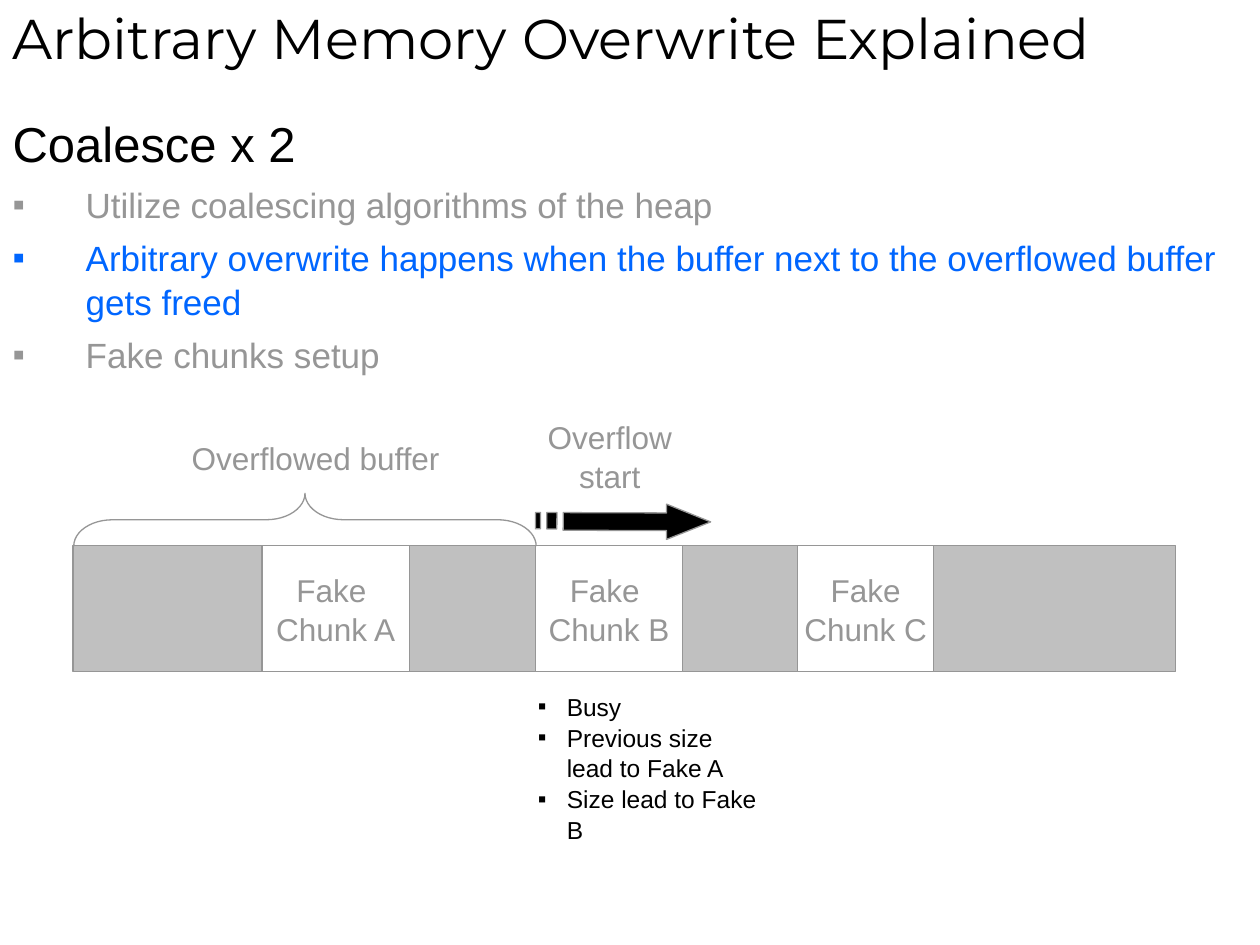
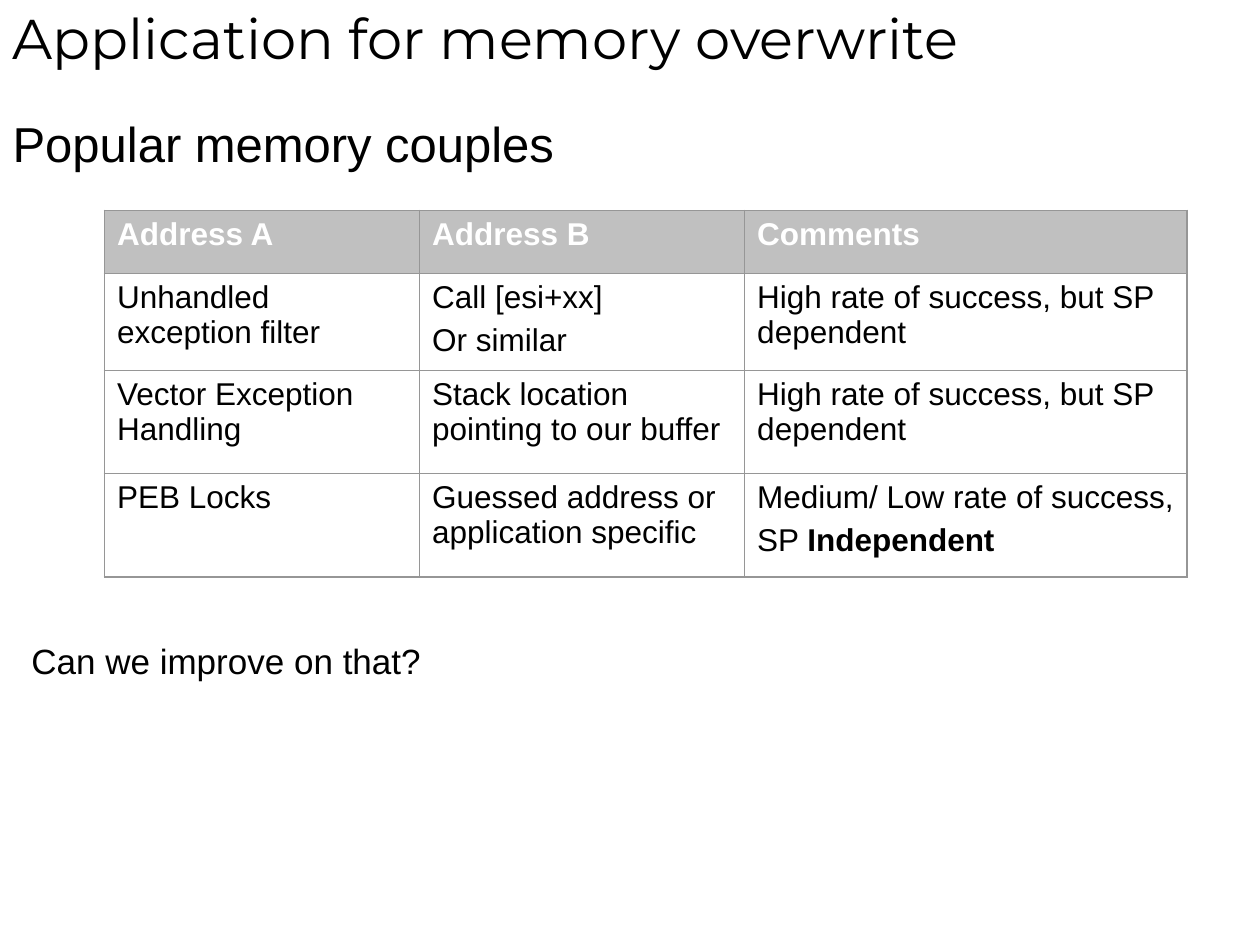
from dataclasses import dataclass

from lxml import etree
from pptx import Presentation
from pptx.dml.color import RGBColor
from pptx.enum import shapes, text
from pptx.oxml.ns import qn
from pptx.util import Inches, Pt

# Shared look
BLACK, WHITE, GREY, SILVER, BLUE = "000000", "FFFFFF", "969696", "C0C0C0", "0066FF"
BODY_FONT, TITLE_FONT = "Arial", "Montserrat"
LINE_SPACING = 1.05
CENTER, LEFT = text.PP_ALIGN.CENTER, text.PP_ALIGN.LEFT
MIDDLE, TOP = text.MSO_ANCHOR.MIDDLE, text.MSO_ANCHOR.TOP


@dataclass
class Para:
    words: str
    size: float = 18
    color: str = GREY
    font: str = BODY_FONT
    bold: bool = False
    bold_tail: str = ""
    align: text.PP_ALIGN = LEFT
    before: float = 0
    spacing: float = LINE_SPACING
    indent: float = 0
    bullet: bool = False


@dataclass
class Box:
    left: float
    top: float
    width: float
    height: float

    def emu(self) -> list:
        return [Inches(v) for v in (self.left, self.top, self.width, self.height)]


@dataclass
class Chunk:
    left: float
    width: float
    lines: tuple


def rgb(color: str) -> RGBColor:
    return RGBColor.from_string(color)


def set_all(target, values: dict) -> None:
    for name, value in values.items():
        setattr(target, name, value)


def set_list_format(paragraph, para: Para) -> None:
    """Set the hanging indent and the bullet of a paragraph."""
    props = paragraph._p.get_or_add_pPr()
    props.set("marL", str(Inches(para.indent)))
    props.set("indent", str(-Inches(para.indent)))
    if not para.bullet:
        etree.SubElement(props, qn("a:buNone"))
        return
    bullet_color = etree.SubElement(props, qn("a:buClr"))
    etree.SubElement(bullet_color, qn("a:srgbClr"), val=para.color)
    etree.SubElement(props, qn("a:buFont"), typeface=BODY_FONT)
    etree.SubElement(props, qn("a:buChar"), char="▪")


def write(frame, paras: list[Para]) -> None:
    for number, para in enumerate(paras):
        paragraph = frame.add_paragraph() if number else frame.paragraphs[0]
        set_list_format(paragraph, para)
        set_all(paragraph, {
            "alignment": para.align,
            "line_spacing": para.spacing,
            "space_before": Pt(para.before if number else 0),
            "space_after": Pt(0),
        })
        for words, bold in ((para.words, para.bold), (para.bold_tail, True)):
            if words:
                run = paragraph.add_run()
                run.text = words
                set_all(run.font, {"name": para.font, "size": Pt(para.size), "bold": bold})
                run.font.color.rgb = rgb(para.color)


def fill_frame(shape, paras: list[Para], anchor=TOP, wrap: bool = True) -> None:
    set_all(shape.text_frame, {
        "word_wrap": wrap,
        "auto_size": text.MSO_AUTO_SIZE.NONE,
        "vertical_anchor": anchor,
    })
    write(shape.text_frame, paras)


def add_label(slide, box: Box, paras: list[Para], wrap: bool = False) -> None:
    fill_frame(slide.shapes.add_textbox(*box.emu()), paras, wrap=wrap)


def paint(shape, fill: str | None) -> None:
    shape.shadow.inherit = False
    if fill:
        shape.fill.solid()
        shape.fill.fore_color.rgb = rgb(fill)
    else:
        shape.fill.background()
    shape.line.color.rgb = rgb(GREY)
    shape.line.width = Pt(0.75)


def add_preset(slide, kind, box: Box, fill: str | None = None):
    shape = slide.shapes.add_shape(kind, *box.emu())
    paint(shape, fill)
    return shape


def add_slide(deck, title: str, heading: str, bullets: list[Para]):
    slide = deck.slides.add_slide(deck.slide_layouts[1])
    heading_para = Para(heading, size=28, color=BLACK, indent=0.58)
    parts = (
        (slide.shapes.title, Box(0, -0.08, 10, 0.75),
         [Para(title, size=32, color=BLACK, font=TITLE_FONT, spacing=1)], MIDDLE),
        (slide.placeholders[1], Box(0, 0.83, 10, 6.17), [heading_para, *bullets], TOP),
    )
    for placeholder, box, paras, anchor in parts:
        set_all(placeholder, dict(zip(("left", "top", "width", "height"), box.emu())))
        fill_frame(placeholder, paras, anchor)
    return slide


# Slide 1: memory strip with fake chunks
STRIP = Box(0.58, 4.33, 8.75, 1)
CHUNKS = (
    Chunk(4.25, 1.17, ("Fake ", "Chunk B")),
    Chunk(6.33, 1.08, ("Fake", "Chunk C")),
    Chunk(2.08, 1.17, ("Fake ", "Chunk A")),
)


def centered(*lines: str) -> list[Para]:
    return [Para(line, align=CENTER) for line in lines]


def add_overflow_arrow(slide) -> None:
    """Draw the striped arrow; points are in hundredths of an inch."""
    head_and_stripes = (
        [(447, 407), (529, 407), (529, 400), (564, 414), (529, 428), (529, 421), (447, 421)],
        *([(left, 407), (right, 407), (right, 420), (left, 420)]
          for left, right in ((425, 429), (434, 442))),
    )
    builder = slide.shapes.build_freeform(*head_and_stripes[0][0], scale=Inches(0.01))
    for number, outline in enumerate(head_and_stripes):
        if number:
            builder.move_to(*outline[0])
        builder.add_line_segments(outline[1:], close=True)
    arrow = builder.convert_to_shape()
    paint(arrow, BLACK)
    arrow.rotation = 0.2


def build_coalesce(deck) -> None:
    points = (
        ("Utilize coalescing algorithms of the heap", GREY),
        ("Arbitrary overwrite happens when the buffer next to the overflowed buffer gets freed",
         BLUE),
        ("Fake chunks setup", GREY),
    )
    slide = add_slide(
        deck, "Arbitrary Memory Overwrite Explained", "Coalesce x 2",
        [Para(words, size=20, color=color, before=5, indent=0.58, bullet=True)
         for words, color in points])

    rectangle = shapes.MSO_SHAPE.RECTANGLE
    add_preset(slide, rectangle, STRIP, SILVER)
    for chunk in CHUNKS:
        box = Box(chunk.left, STRIP.top, chunk.width, STRIP.height)
        fill_frame(add_preset(slide, rectangle, box, WHITE),
                   centered(*chunk.lines), MIDDLE, wrap=False)

    add_overflow_arrow(slide)
    add_label(slide, Box(4.25, 3.25, 1.18, 0.7), centered("Overflow", "start"))

    brace = add_preset(slide, shapes.MSO_SHAPE.LEFT_BRACE, Box(2.21, 2.29, 0.42, 3.67))
    brace.rotation = 90
    brace.adjustments[0] = 0.73
    add_label(slide, Box(1.42, 3.42, 2.17, 0.4), centered("Overflowed buffer"))

    chunk_b_fields = ("Busy", "Previous size lead to Fake A", "Size lead to Fake B")
    add_label(slide, Box(4.17, 5.43, 2, 1.04),
              [Para(field, size=14, color=BLACK, indent=0.23, bullet=True)
               for field in chunk_b_fields], wrap=True)


# Slide 2: table of address pairs
COLUMNS = (2.5, 2.58, 3.51)
ROWS = (0.5, 0.77, 0.82, 0.82)
SUCCESS = "High rate of success, but SP dependent"
COUPLES = (
    (["Address A"], ["Address B"], ["Comments"]),
    (["Unhandled exception filter"], ["Call [esi+xx]", "Or similar"], [SUCCESS]),
    (["Vector Exception Handling"], ["Stack location pointing to our buffer"], [SUCCESS]),
    (["PEB Locks"], ["Guessed address or application specific"],
     ["Medium/ Low rate of success,", ("SP ", "Independent")]),
)


def set_borders(cell, outer_edges: dict[str, bool]) -> None:
    """Add thick lines on outer edges and thin ones inside, ahead of the fill."""
    props = cell._tc.get_or_add_tcPr()
    for position, (side, outer) in enumerate(outer_edges.items()):
        line = etree.Element(qn(f"a:ln{side}"), w=str(Pt(1.08 if outer else 0.45)))
        solid = etree.SubElement(line, qn("a:solidFill"))
        etree.SubElement(solid, qn("a:srgbClr"), val=GREY)
        props.insert(position, line)


def build_couples(deck) -> None:
    slide = add_slide(deck, "Application for memory overwrite", "Popular memory couples", [])
    box = Box(0.83, 1.67, sum(COLUMNS), sum(ROWS))
    table = slide.shapes.add_table(len(ROWS), len(COLUMNS), *box.emu()).table
    set_all(table, {"first_row": False, "horz_banding": False})
    for column, width in zip(table.columns, COLUMNS):
        column.width = Inches(width)
    for row, height in zip(table.rows, ROWS):
        row.height = Inches(height)

    for r, couple in enumerate(COUPLES):
        header = r == 0
        for c, lines in enumerate(couple):
            cell = table.cell(r, c)
            if header:
                cell.fill.solid()
                cell.fill.fore_color.rgb = rgb(SILVER)
            else:
                cell.fill.background()
            set_borders(cell, {"L": c == 0, "R": c == len(COLUMNS) - 1,
                               "T": header, "B": r == len(ROWS) - 1})
            pairs = [(line, "") if isinstance(line, str) else line for line in lines]
            write(cell.text_frame,
                  [Para(words, color=WHITE if header else BLACK, bold=header,
                        bold_tail=tail, before=4.5, spacing=1) for words, tail in pairs])

    add_label(slide, Box(0.15, 5.01, 3.29, 0.44),
              [Para("Can we improve on that?", size=20, color=BLACK)])


def main() -> None:
    deck = Presentation()
    set_all(deck, {"slide_width": Inches(10), "slide_height": Inches(7.5)})
    build_coalesce(deck)
    build_couples(deck)
    deck.save("out.pptx")


if __name__ == "__main__":
    main()
